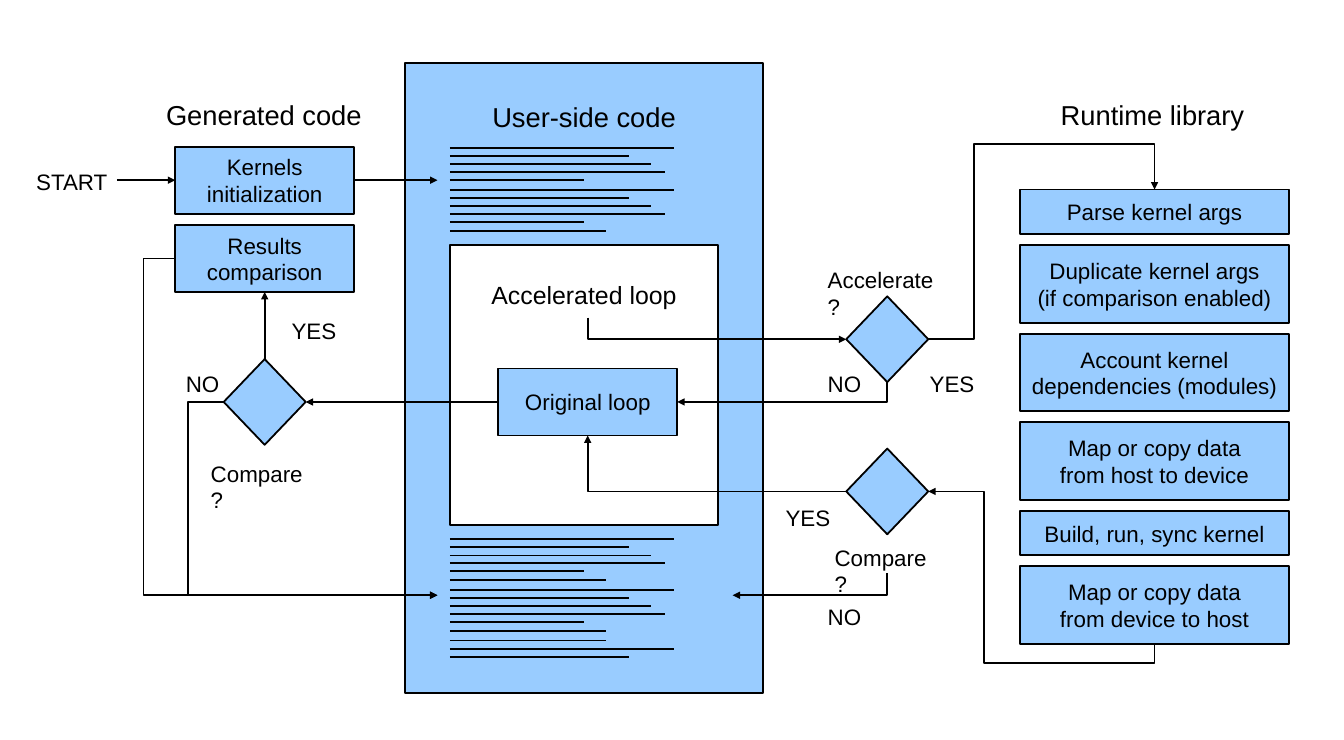
"""Builds a flow diagram of generated code, user-side code and a runtime library."""
from lxml.etree import SubElement
from pptx import Presentation
from pptx.dml.color import RGBColor
from pptx.enum.shapes import MSO_CONNECTOR as CXN, MSO_SHAPE as SHP
from pptx.enum.text import MSO_ANCHOR as ANC, PP_ALIGN as AL
from pptx.oxml.ns import qn
from pptx.util import Pt

BLUE = RGBColor(0x99, 0xCC, 0xFF)
WHITE = RGBColor(0xFF, 0xFF, 0xFF)
BLACK = RGBColor(0, 0, 0)
TOP, LEFT, BOTTOM, RIGHT = range(4)

prs = Presentation()
prs.slide_width, prs.slide_height = Pt(1081.5), Pt(595.5)
s = prs.slides.add_slide(prs.slide_layouts[6])


def add_block(kind, x, y, w, h, lines=(), size=18, fill=BLUE, top=None):
    """Add a shape, or a text box when kind is None, with one paragraph per line."""
    box = (Pt(x), Pt(y), Pt(w), Pt(h))
    if kind is None:
        sp = s.shapes.add_textbox(*box)
    else:
        sp = s.shapes.add_shape(kind, *box)
        sp.shadow.inherit = False
        sp.fill.solid()
        sp.fill.fore_color.rgb = fill
        sp.line.color.rgb = BLACK
        sp.line.width = Pt(1.45)
    tf = sp.text_frame
    tf.word_wrap = True
    if kind is not None:
        tf.margin_left = tf.margin_right = Pt(8)
        tf.margin_top = tf.margin_bottom = Pt(4.3)
        tf.vertical_anchor = ANC.MIDDLE
    if top is not None:
        tf.margin_top = Pt(top)
        tf.vertical_anchor = ANC.TOP
    for i, line in enumerate(lines):
        p = tf.paragraphs[0] if i == 0 else tf.add_paragraph()
        p.alignment = AL.LEFT if kind is None else AL.CENTER
        r = p.add_run()
        r.text = line
        r.font.name, r.font.size = "Arial", Pt(size)
        r.font.color.rgb = BLACK
    return sp


def add_route(points, start=None, end=None, arrow=True):
    """Add a connector through right-angled points, glued to (shape, site) ends."""
    (x1, y1), (x2, y2) = points[0], points[-1]
    bent = len(points) > 2
    kind = CXN.ELBOW if bent else CXN.STRAIGHT
    c = s.shapes.add_connector(kind, Pt(x1), Pt(y1), Pt(x2), Pt(y2))
    if start:
        c.begin_connect(*start)
    if end:
        c.end_connect(*end)
    c.line.color.rgb = BLACK
    c.line.width = Pt(1.45)
    pr = c._element.spPr
    if bent:
        dx, dy = x2 - x1, y2 - y1
        turned = points[1][0] == x1
        w, h = (abs(dy), abs(dx)) if turned else (abs(dx), abs(dy))
        c.left, c.top = Pt((x1 + x2 - w) / 2), Pt((y1 + y2 - h) / 2)
        c.width, c.height = Pt(w), Pt(h)
        flips = (dy < 0, dx > 0) if turned else (dx < 0, dy < 0)
        xfrm = pr.find(qn("a:xfrm"))
        xfrm.set("rot", "5400000" if turned else "0")
        xfrm.set("flipH", str(int(flips[0])))
        xfrm.set("flipV", str(int(flips[1])))
        geom = pr.find(qn("a:prstGeom"))
        geom.set("prst", f"bentConnector{len(points) - 1}")
        for i, (x, y) in enumerate(points[1:-2], 1):
            along_x = (i % 2 == 1) != turned
            ratio = (x - x1) / dx if along_x else (y - y1) / dy
            SubElement(geom.find(qn("a:avLst")), qn("a:gd"),
                       name=f"adj{i}", fmla=f"val {round(ratio * 100000)}")
    if arrow:
        SubElement(pr.find(qn("a:ln")), qn("a:tailEnd"), type="triangle")
    SubElement(pr, qn("a:effectLst"))


add_block(SHP.RECTANGLE, 326, 51, 288, 507, ["User-side code"], 22, top=29.6)
add_block(SHP.RECTANGLE, 362, 197.5, 216, 225, ["Accelerated loop"], 20, WHITE, 27.3)

code_rows = list(zip((0, 6.5, 13.5, 19.5, 26, 33.5), (180, 144, 162, 173, 108, 126)))
last_rows = [(0, 126), (6.5, 180), (13.5, 144)]
for y, rows in [(118.8, code_rows[:5]), (152.6, code_rows), (433.5, code_rows),
                (474.5, code_rows), (515.5, last_rows)]:
    for dy, length in rows:
        add_route([(362, y + dy), (362 + length, y + dy)], arrow=False)

kernels, results, loop = [
    add_block(SHP.RECTANGLE, x, y, 144, 54, lines) for x, y, lines in [
        (141, 118, ["Kernels", "initialization"]),
        (141, 181, ["Results", "comparison"]),
        (401, 296.5, ["Original loop"])]]
accelerate, compare_device, compare_results = [
    add_block(SHP.DIAMOND, x, y, 66, 69)
    for x, y in [(681, 238.5), (681, 361), (180, 289)]]

runtime_steps = []
y = 152.5
for lines in [["Parse kernel args"],
              ["Duplicate kernel args", "(if comparison enabled)"],
              ["Account kernel", "dependencies (modules)"],
              ["Map or copy data", "from host to device"],
              ["Build, run, sync kernel"],
              ["Map or copy data", "from device to host"]]:
    h = 36 if len(lines) == 1 else 62.5
    runtime_steps.append(add_block(SHP.RECTANGLE, 821, y, 216, h, lines))
    y += h + 8.75

for text, x, y, w, size in [
        ("Generated code", 126.5, 75.5, 173, 22), ("Runtime library", 846.5, 75.5, 163, 22),
        ("START", 22, 132, 72, 18), ("Accelerate?", 659, 210.5, 108, 18),
        ("NO", 659, 294.5, 42, 18), ("YES", 741, 294.5, 51, 18),
        ("YES", 625, 402.5, 51, 18), ("Compare?", 664.5, 434, 97, 18),
        ("NO", 659, 481.5, 42, 18), ("YES", 227.5, 252, 51, 18),
        ("NO", 142.5, 294.5, 42, 18), ("Compare?", 162.5, 366.5, 97, 18)]:
    add_block(None, x, y, w, 47.5 if "?" in text else 27.5, [text], size)

first_step, last_step = runtime_steps[0], runtime_steps[-1]
for points, start, end in [
        ([(94, 145), (141, 145)], None, (kernels, LEFT)),
        ([(285, 145), (352, 145)], (kernels, RIGHT), None),
        ([(473, 255.5), (473, 273), (681, 273)], None, (accelerate, LEFT)),
        ([(714, 307.5), (714, 323.5), (545, 323.5)], (accelerate, BOTTOM), (loop, RIGHT)),
        ([(747, 273), (784, 273), (784, 116), (929, 116), (929, 152.5)],
         (accelerate, RIGHT), (first_step, TOP)),
        ([(929, 518.25), (929, 533.5), (792, 533.5), (792, 395.5), (747, 395.5)],
         (last_step, BOTTOM), (compare_device, RIGHT)),
        ([(681, 395.5), (473, 395.5), (473, 350.5)], (compare_device, LEFT), (loop, BOTTOM)),
        ([(713.5, 461.5), (713.5, 479), (589.5, 479)], None, None),
        ([(401, 323.5), (246, 323.5)], (loop, LEFT), (compare_results, RIGHT)),
        ([(213, 289), (213, 235)], (compare_results, TOP), (results, BOTTOM)),
        ([(180, 323.5), (151.5, 323.5), (151.5, 479), (352, 479)],
         (compare_results, LEFT), None),
        ([(141, 208), (115.5, 208), (115.5, 479), (352, 479)], (results, LEFT), None)]:
    add_route(points, start, end)

prs.save("out.pptx")
